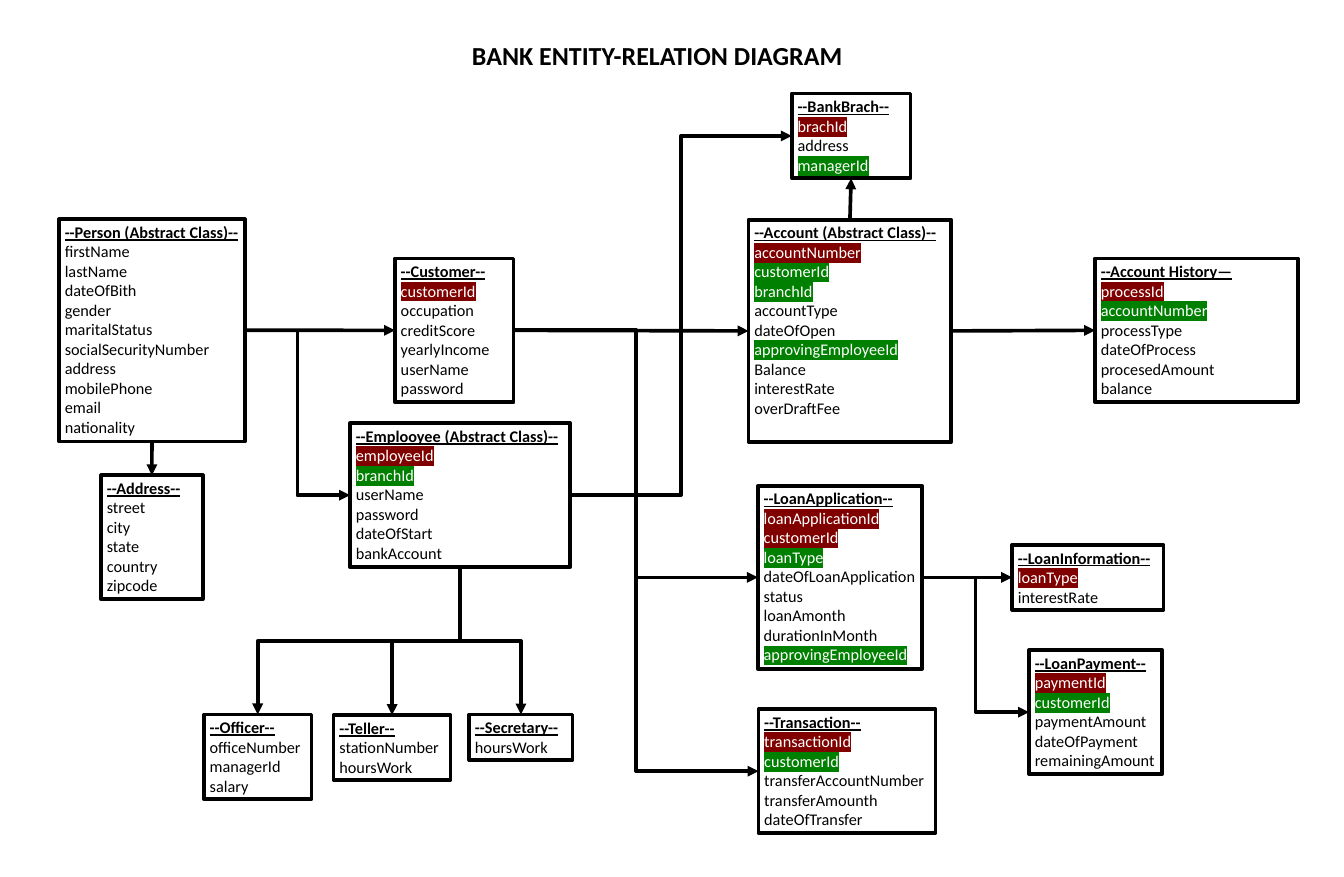
import pptx
import pptx.util
import pptx.dml.color
import pptx.enum.shapes
import pptx.enum.text
import pptx.oxml
import pptx.oxml.ns

Pt = pptx.util.Pt
qn = pptx.oxml.ns.qn
ALIGN = pptx.enum.text.PP_ALIGN
ANCHOR = pptx.enum.text.MSO_ANCHOR
SHAPE = pptx.enum.shapes.MSO_SHAPE
CONNECTOR = pptx.enum.shapes.MSO_CONNECTOR
TOP, LEFT, BOTTOM, RIGHT = range(4)  # connection sites of a rectangle


def inch(n):
    return pptx.util.Cm(n * 2.54)


def rgb(color):
    return pptx.dml.color.RGBColor.from_string(color)


def element(tag, **attrs):
    e = pptx.oxml.parse_xml(f"<{tag} {pptx.oxml.ns.nsdecls('a')}/>")
    for name, value in attrs.items():
        e.set(name, value)
    return e


class Diagram:
    font, ink, paper = "Calibri", "000000", "FFFFFF"
    title_size, text_size, weight = 32, 20, 4.5
    marks = {"*": "800000", "+": "008000"}  # primary key, foreign key

    def __init__(self, slide):
        self.s = slide

    def run(self, p, text, size, color=ink, bold=False, underline=False, mark=None):
        r = p.add_run()
        r.text = text
        f = r.font
        f.name, f.size, f.bold, f.underline = self.font, Pt(size), bold, underline
        f.color.rgb = rgb(color)
        if mark:
            highlight = element("a:highlight")
            highlight.append(element("a:srgbClr", val=mark))
            r._r.rPr.find(qn("a:solidFill")).addnext(highlight)

    def title(self, text, x, y, w, h):
        sp = self.s.shapes.title
        sp.left, sp.top, sp.width, sp.height = map(inch, (x, y, w, h))
        tf = sp.text_frame
        tf.vertical_anchor = ANCHOR.MIDDLE
        p = tf.paragraphs[0]
        p.alignment = ALIGN.CENTER
        self.run(p, text, self.title_size, bold=True)

    def entity(self, x, y, w, h, heading, fields):
        sp = self.s.shapes.add_shape(SHAPE.RECTANGLE, *map(inch, (x, y, w, h)))
        sp.shadow.inherit = False
        sp.fill.solid()
        sp.fill.fore_color.rgb = rgb(self.paper)
        sp.line.color.rgb = rgb(self.ink)
        sp.line.width = Pt(self.weight)
        tf = sp.text_frame
        tf.word_wrap = True
        tf.vertical_anchor = ANCHOR.TOP
        tf.margin_right = 0
        p = tf.paragraphs[0]
        p.alignment = ALIGN.LEFT
        self.run(p, heading, self.text_size, bold=True, underline=True)
        for field in fields.split():
            p = tf.add_paragraph()
            p.alignment = ALIGN.LEFT
            mark = self.marks.get(field[0])
            self.run(p, field.lstrip("*+"), self.text_size,
                     self.paper if mark else self.ink, mark=mark)
        return sp

    def arrow(self, kind, start, start_site, end, end_site):
        c = self.s.shapes.add_connector(kind, 0, 0, 0, 0)
        c.begin_connect(start, start_site)
        c.end_connect(end, end_site)
        if kind == CONNECTOR.ELBOW and start_site == BOTTOM:
            self.turn(c)
        c.line.color.rgb = rgb(self.ink)
        c.line.width = Pt(self.weight)
        c.line._get_or_add_ln().append(element("a:tailEnd", type="triangle"))
        c._element.spPr.append(element("a:effectLst"))

    def turn(self, c):
        """Rotate an elbow by 90 degrees so that it leaves downwards."""
        x1, y1, x2, y2 = c.begin_x, c.begin_y, c.end_x, c.end_y
        cx, cy = (x1 + x2) // 2, (y1 + y2) // 2
        dx, dy = (x2 - x1) // 2, (y2 - y1) // 2
        c.begin_x, c.end_x = cx - dy, cx + dy
        c.begin_y, c.end_y = cy + dx, cy - dx
        c._element.spPr.find(qn("a:xfrm")).set("rot", "5400000")


prs = pptx.Presentation()
prs.slide_width, prs.slide_height = inch(23), inch(15)
d = Diagram(prs.slides.add_slide(prs.slide_layouts[5]))
d.title("BANK ENTITY-RELATION DIAGRAM", 0, 0.63, 22.5, 0.64)

# Entities: * marks a primary key, + a foreign key
entities = {
    "person": (1.01, 3.75, 3.18, 3.8, "--Person (Abstract Class)--",
               "firstName lastName dateOfBith gender maritalStatus socialSecurityNumber "
               "address mobilePhone email nationality"),
    "address": (1.73, 8.13, 1.74, 2.12, "--Address--", "street city state country zipcode"),
    "customer": (6.76, 4.42, 2.03, 2.46, "--Customer--",
                 "*customerId occupation creditScore yearlyIncome userName password"),
    "employee": (5.99, 7.24, 3.77, 2.46, "--Emplooyee (Abstract Class)--",
                 "*employeeId +branchId userName password dateOfStart bankAccount"),
    "officer": (3.49, 12.22, 1.84, 1.45, "--Officer--", "officeNumber managerId salary"),
    "teller": (5.71, 12.23, 2, 1.11, "--Teller--", "stationNumber hoursWork"),
    "secretary": (8.03, 12.22, 1.77, 0.78, "--Secretary--", "hoursWork"),
    "branch": (13.55, 1.6, 2.03, 1.45, "--BankBrach--", "*brachId address +managerId"),
    "account": (12.81, 3.76, 3.47, 3.8, "--Account (Abstract Class)--",
                "*accountNumber +customerId +branchId accountType dateOfOpen "
                "+approvingEmployeeId Balance interestRate overDraftFee"),
    "history": (18.74, 4.42, 3.47, 2.46, "--Account History—",
                "*processId +accountNumber processType dateOfProcess procesedAmount balance"),
    "application": (12.97, 8.31, 2.81, 3.13, "--LoanApplication--",
                    "*loanApplicationId *customerId +loanType dateOfLoanApplication status "
                    "loanAmonth durationInMonth +approvingEmployeeId"),
    "information": (17.32, 9.32, 2.59, 1.11, "--LoanInformation--", "*loanType interestRate"),
    "payment": (17.61, 11.12, 2.28, 2.12, "--LoanPayment--",
                "*paymentId +customerId paymentAmount dateOfPayment remainingAmount"),
    "transaction": (12.98, 12.13, 3.03, 2.12, "--Transaction--",
                    "*transactionId +customerId transferAccountNumber transferAmounth "
                    "dateOfTransfer"),
}
boxes = {name: d.entity(*entity) for name, entity in entities.items()}

# Relations, grouped by kind of line and by the sides they join
relations = [
    (CONNECTOR.STRAIGHT, RIGHT, LEFT, "person-customer customer-account account-history "
                                      "application-information"),
    (CONNECTOR.STRAIGHT, BOTTOM, TOP, "person-address"),
    (CONNECTOR.STRAIGHT, TOP, BOTTOM, "account-branch"),
    (CONNECTOR.ELBOW, RIGHT, LEFT, "person-employee customer-application "
                                   "customer-transaction application-payment employee-branch"),
    (CONNECTOR.ELBOW, BOTTOM, TOP, "employee-officer employee-teller employee-secretary"),
]
for kind, start_site, end_site, pairs in relations:
    for pair in pairs.split():
        start, end = pair.split("-")
        d.arrow(kind, boxes[start], start_site, boxes[end], end_site)

prs.save("out.pptx")
